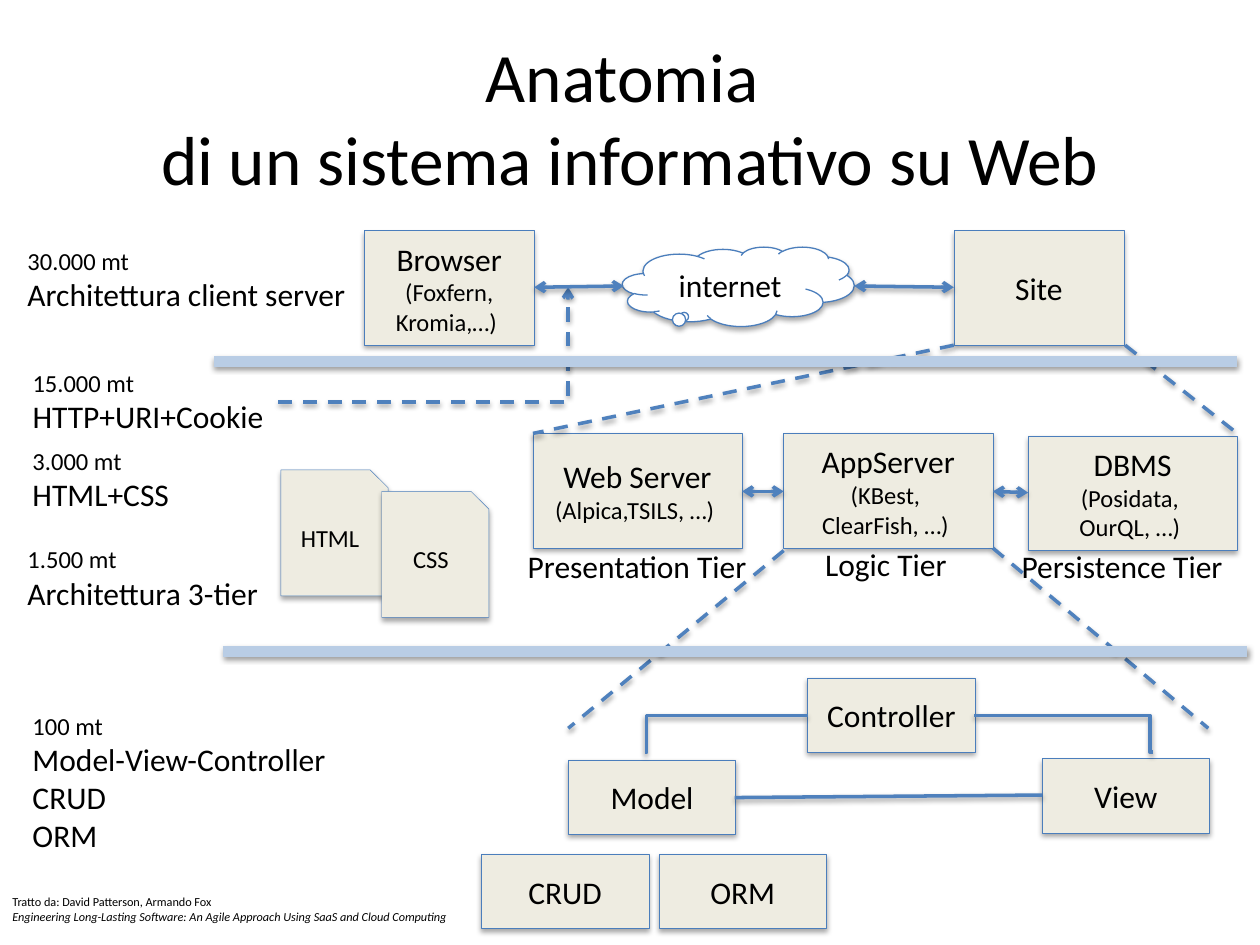
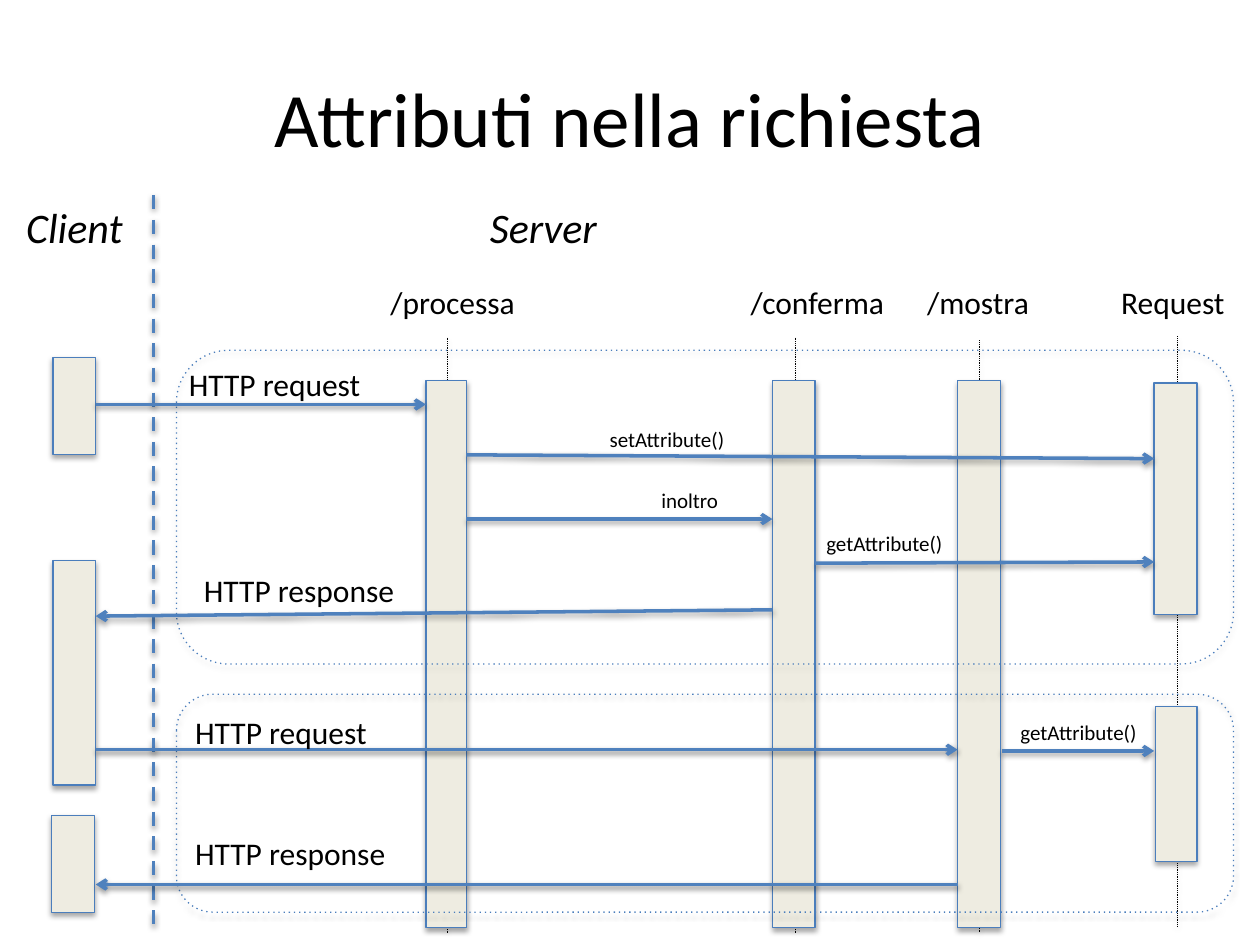
from lxml import etree
from pptx import Presentation
from pptx.dml.color import RGBColor
from pptx.enum.shapes import MSO_CONNECTOR, MSO_SHAPE
from pptx.enum.text import MSO_ANCHOR, PP_ALIGN
from pptx.oxml.ns import qn
from pptx.util import Inches, Pt

RECT, ROUND = MSO_SHAPE.RECTANGLE, MSO_SHAPE.ROUNDED_RECTANGLE
SNIP, CLOUD = MSO_SHAPE.SNIP_1_RECTANGLE, MSO_SHAPE.CLOUD_CALLOUT
STRAIGHT, ELBOW = MSO_CONNECTOR.STRAIGHT, MSO_CONNECTOR.ELBOW
LEFT, CENTER = PP_ALIGN.LEFT, PP_ALIGN.CENTER
TOP, MIDDLE = MSO_ANCHOR.TOP, MSO_ANCHOR.MIDDLE

BLACK = RGBColor(0x00, 0x00, 0x00)
WHITE = RGBColor(0xFF, 0xFF, 0xFF)
CREAM = RGBColor(0xEE, 0xEC, 0xE1)
EDGE = RGBColor(0x4B, 0x7E, 0xBC)
BLUE = RGBColor(0x4F, 0x81, 0xBD)
PALE = RGBColor(0xB9, 0xCD, 0xE5)
FONT = "Calibri"
BIG, MID, SMALL, TINY = 18, 14, 12, 7

# Slide 1. Text is a list of paragraphs: (text, size) or (text, size, italic).
ANATOMY = "Anatomia \ndi un sistema informativo su Web"
LEVELS = [  # left, top, width, height, altitude, topics
    (0.12, 1.9, 2.76, 0.64, "30.000 mt", ["Architettura client server"]),
    (0.16, 2.87, 2.05, 0.64, "15.000 mt", ["HTTP+URI+Cookie"]),
    (0.16, 3.49, 5, 0.64, "3.000 mt", ["HTML+CSS"]),
    (0.12, 4.27, 5, 0.64, "1.500 mt", ["Architettura 3-tier"]),
    (0.16, 5.59, 5, 1.25, "100 mt", ["Model-View-Controller", "CRUD", "ORM"]),
]
ENDS = [  # left, text
    (2.89, [("Browser", BIG), ("(Foxfern, Kromia,…) ", MID)]),
    (7.57, [("Site", BIG)]),
]
PAGES = [(2.23, 3.73, "HTML"), (3.03, 3.9, "CSS")]
TIERS = [  # left, top, name, examples
    (4.23, 3.44, "Web Server", "(Alpica,TSILS, …) "),
    (6.22, 3.44, "AppServer", "(KBest, \nClearFish, …) "),
    (8.16, 3.46, "DBMS", "(Posidata, \nOurQL, …) "),
]
TAGS = [
    (4.09, 4.29, 1.97, "Presentation Tier"),
    (6.45, 4.28, 1.18, "Logic Tier"),
    (8.01, 4.29, 1.83, "Persistence Tier"),
]
PARTS = [
    (4.51, 6.03, "Model"), (6.41, 5.38, "Controller"), (8.27, 6.02, "View"),
    (3.82, 6.78, "CRUD"), (5.23, 6.78, "ORM"),
]
LINKS = [  # two-way arrows: x1, y1, x2, y2
    (4.24, 2.28, 4.95, 2.27), (6.78, 2.27, 7.57, 2.28),
    (5.89, 3.9, 6.22, 3.9), (7.88, 3.9, 8.16, 3.91),
]
ZOOMS = [
    (7.57, 2.74, 4.23, 3.44), (8.93, 2.74, 9.82, 3.44),
    (6.22, 4.37, 4.51, 5.78), (7.88, 4.35, 9.59, 5.78),
]
BANDS = [(1.7, 2.87, 9.82, 2.87), (1.77, 5.17, 9.9, 5.17)]
BENDS = [((5.12, 5.97, 6.41, 5.68), 0.01), ((9.15, 5.97, 7.73, 5.68), 0.017)]
SOURCE = [
    ("Tratto da: David Patterson, Armando Fox\n", TINY, False),
    ("Engineering Long-Lasting Software: An Agile Approach Using SaaS "
     "and Cloud Computing", TINY, True),
]

# Slide 2
REQUEST = "Attributi nella richiesta"
SIDES = [(0.11, 1.06, "Client"), (3.79, 1.14, "Server")]
HEADS = [
    (3, 1.2, "/processa"), (5.86, 1.29, "/conferma"),
    (7.26, 1.03, "/mostra"), (8.8, 1.04, "Request"),
]
LIVES = [(9.34, 2.67, 7.36), (7.77, 2.7, 7.4), (6.31, 2.68, 7.4), (3.55, 2.68, 7.4)]
BARS = [
    (3.38, 3.02, 0.32, 4.34), (6.13, 3.02, 0.34, 4.34), (7.6, 3.02, 0.34, 4.34),
    (0.42, 2.84, 0.34, 0.77), (0.42, 4.45, 0.34, 1.78), (0.41, 6.47, 0.34, 0.77),
    (9.16, 3.04, 0.34, 1.84), (9.17, 5.61, 0.33, 1.23),
]
FRAMES = [(1.4, 2.78, 8.39, 2.49), (1.4, 5.51, 8.39, 1.73)]
CALLS = [  # arrow, then label: left, top, width, text, size
    ((0.76, 3.21, 3.38, 3.21), (1.4, 2.85, 1.58, "HTTP request", BIG)),
    ((3.7, 3.61, 9.16, 3.64), (4.74, 3.34, 1.13, "setAttribute()", SMALL)),
    ((3.7, 4.12, 6.13, 4.12), (5.15, 3.82, 1.03, "inoltro", SMALL)),
    ((6.47, 4.47, 9.16, 4.46), (6.46, 4.16, 1.14, "getAttribute()", SMALL)),
    ((6.13, 4.84, 0.76, 4.89), (1.52, 4.48, 1.73, "HTTP response", BIG)),
    ((0.76, 5.95, 7.6, 5.95), (1.45, 5.61, 1.58, "HTTP request", BIG)),
    ((7.95, 5.96, 9.16, 5.96), (8, 5.66, 1.14, "getAttribute()", SMALL)),
    ((7.6, 7.02, 0.76, 7.02), (1.45, 6.57, 1.73, "HTTP response", BIG)),
]


def shade(shape, alpha, dist):
    """Give the shape a soft shadow straight below it."""
    props = shape.element.spPr
    for old in props.findall(qn("a:effectLst")):
        props.remove(old)
    effects = etree.SubElement(props, qn("a:effectLst"))
    cast = etree.SubElement(
        effects, qn("a:outerShdw"), blurRad=str(Pt(3.1)), dist=str(Pt(dist)),
        dir="5400000", rotWithShape="0")
    tint = etree.SubElement(cast, qn("a:srgbClr"), val="000000")
    etree.SubElement(tint, qn("a:alpha"), val=str(alpha * 1000))


def stroke(shape, color, width, dash=None, ends=()):
    """Set the outline; ends names the arrowhead tags to add."""
    shape.line.color.rgb = color
    shape.line.width = Pt(width)
    line = shape.element.spPr.find(qn("a:ln"))
    if dash:
        etree.SubElement(line, qn("a:prstDash"), val=dash)
    for end in ends:
        etree.SubElement(line, qn(end), type="arrow")


def add_run(para, text, size, italic=False):
    for i, part in enumerate(text.split("\n")):
        if i:
            para.add_line_break()
        if part:
            run = para.add_run()
            run.text = part
            run.font.name, run.font.size = FONT, Pt(size)
            run.font.italic = italic
            run.font.color.rgb = BLACK


def write(frame, paras, align, anchor):
    frame.word_wrap = True
    frame.vertical_anchor = anchor
    for i, words in enumerate(paras):
        para = frame.add_paragraph() if i else frame.paragraphs[0]
        para.alignment = align
        add_run(para, *words)


def box(slide, place, paras=(), kind=RECT, fill=CREAM, width=0.25, dash=None):
    shape = slide.shapes.add_shape(kind, *map(Inches, place))
    if fill is None:
        shape.fill.background()
    else:
        shape.fill.solid()
        shape.fill.fore_color.rgb = fill
    stroke(shape, EDGE, width, dash)
    shade(shape, 35, 1.8)
    write(shape.text_frame, paras, CENTER, MIDDLE)
    return shape


def label(slide, place, paras, align=LEFT, anchor=TOP):
    frame = slide.shapes.add_textbox(*map(Inches, place)).text_frame
    if align == LEFT:
        frame.margin_right = 0
    write(frame, paras, align, anchor)
    return frame


def wire(slide, ends, color=BLUE, width=2, dash=None, heads=(), bend=None):
    kind = STRAIGHT if bend is None else ELBOW
    line = slide.shapes.add_connector(kind, *map(Inches, ends))
    if bend is not None:
        guides = line.element.spPr.find(qn("a:prstGeom")).find(qn("a:avLst"))
        etree.SubElement(guides, qn("a:gd"), name="adj1",
                         fmla=f"val {round(bend * 100000)}")
    stroke(line, color, width, dash, heads)
    shade(line, 38, 1.6)


def start(deck, title, size):
    """Add a blank slide with its title."""
    slide = deck.slides.add_slide(deck.slide_layouts[6])
    label(slide, (0.5, 0.3, 9, 1.25), [(title, size)], CENTER, MIDDLE)
    return slide


def draw_anatomy(deck):
    slide = start(deck, ANATOMY, 39.6)
    for x, text in ENDS:
        box(slide, (x, 1.83, 1.35, 0.91), text)
    cloud = box(slide, (4.94, 1.96, 1.84, 0.63), [("internet", BIG)],
                CLOUD, WHITE, 0.75)
    cloud.adjustments[0], cloud.adjustments[1] = -0.228, 0.372
    for *place, height, topics in LEVELS:
        label(slide, place, [(height, MID)] + [(t, BIG) for t in topics])
    wire(slide, (2.21, 3.19, 4.51, 2.28), dash="dash",
         heads=["a:tailEnd"], bend=0.999)
    for x, y, name in PAGES:
        box(slide, (x, y, 0.85, 1), [(name, MID)], SNIP)
    for x, y, name, items in TIERS:
        box(slide, (x, y, 1.66, 0.91), [(name, BIG), (items, MID)])
    for x, y, w, name in TAGS:
        label(slide, (x, y, w, 0.4), [(name, BIG)])
    for ends in LINKS:
        wire(slide, ends, heads=["a:headEnd", "a:tailEnd"])
    for ends in ZOOMS:
        wire(slide, ends, dash="dash")
    for ends in BANDS:
        wire(slide, ends, PALE, 6)
    for x, y, name in PARTS:
        box(slide, (x, y, 1.33, 0.59), [(name, BIG)])
    for ends, bend in BENDS:
        wire(slide, ends, bend=bend)
    wire(slide, (5.83, 6.33, 8.27, 6.31))
    credit = label(slide, (0, 7.05, 3.73, 0.45), SOURCE[:1])
    add_run(credit.paragraphs[0], *SOURCE[1])


def draw_request(deck):
    slide = start(deck, REQUEST, 44)
    for x, top, end in LIVES:
        wire(slide, (x, top, x, end), BLACK, 0.25, "dot")
    for x, w, name in SIDES:
        label(slide, (x, 1.55, w, 0.5), [(name, 24, True)])
    for x, w, name in HEADS:
        label(slide, (x, 2.2, w, 0.4), [(name, BIG)])
    for place in BARS:
        box(slide, place, width=0.75)
    wire(slide, (1.22, 1.55, 1.22, 7.4), dash="dash")
    for place in FRAMES:
        box(slide, place, kind=ROUND, fill=None, width=0.75, dash="dot")
    for ends, (x, y, w, text, size) in CALLS:
        wire(slide, ends, heads=["a:tailEnd"])
        label(slide, (x, y, w, 0.4 if size == BIG else 0.3), [(text, size)])


def main():
    deck = Presentation()
    deck.slide_width, deck.slide_height = Inches(10), Inches(7.5)
    draw_anatomy(deck)
    draw_request(deck)
    deck.save("out.pptx")


if __name__ == "__main__":
    main()
